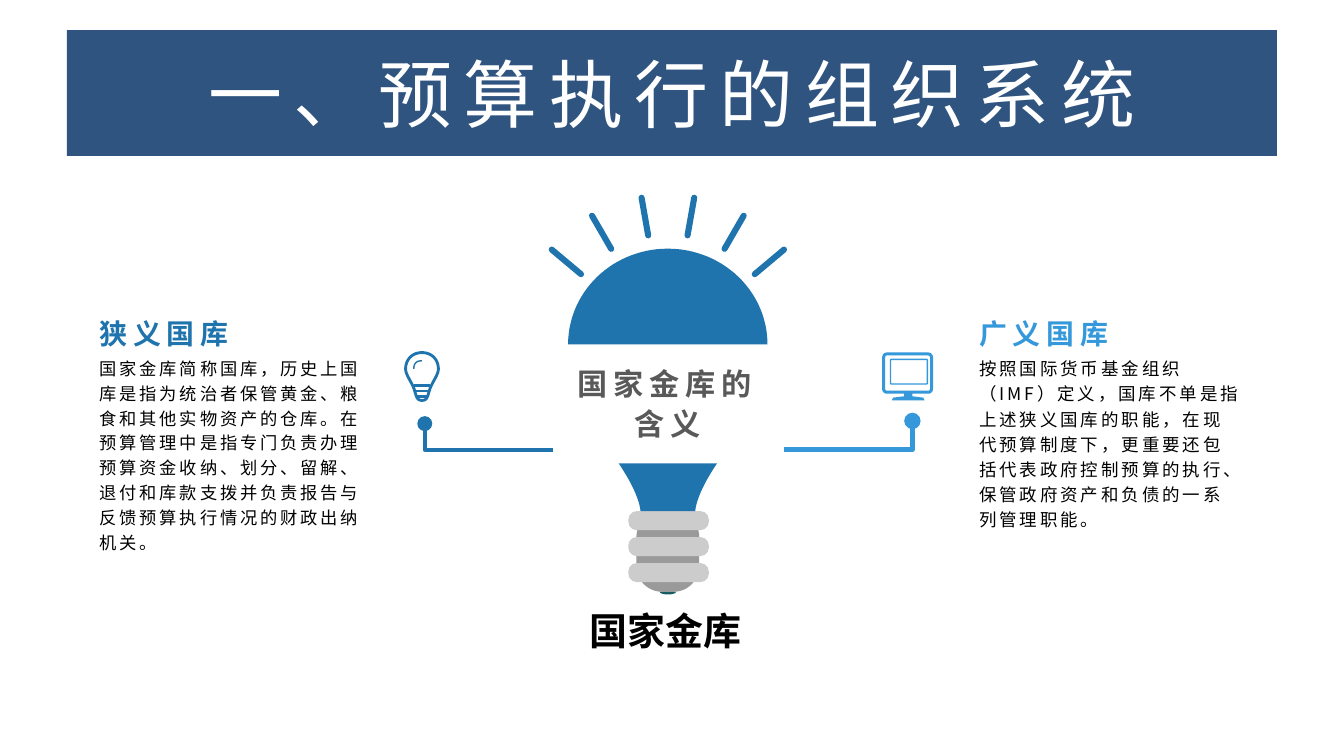
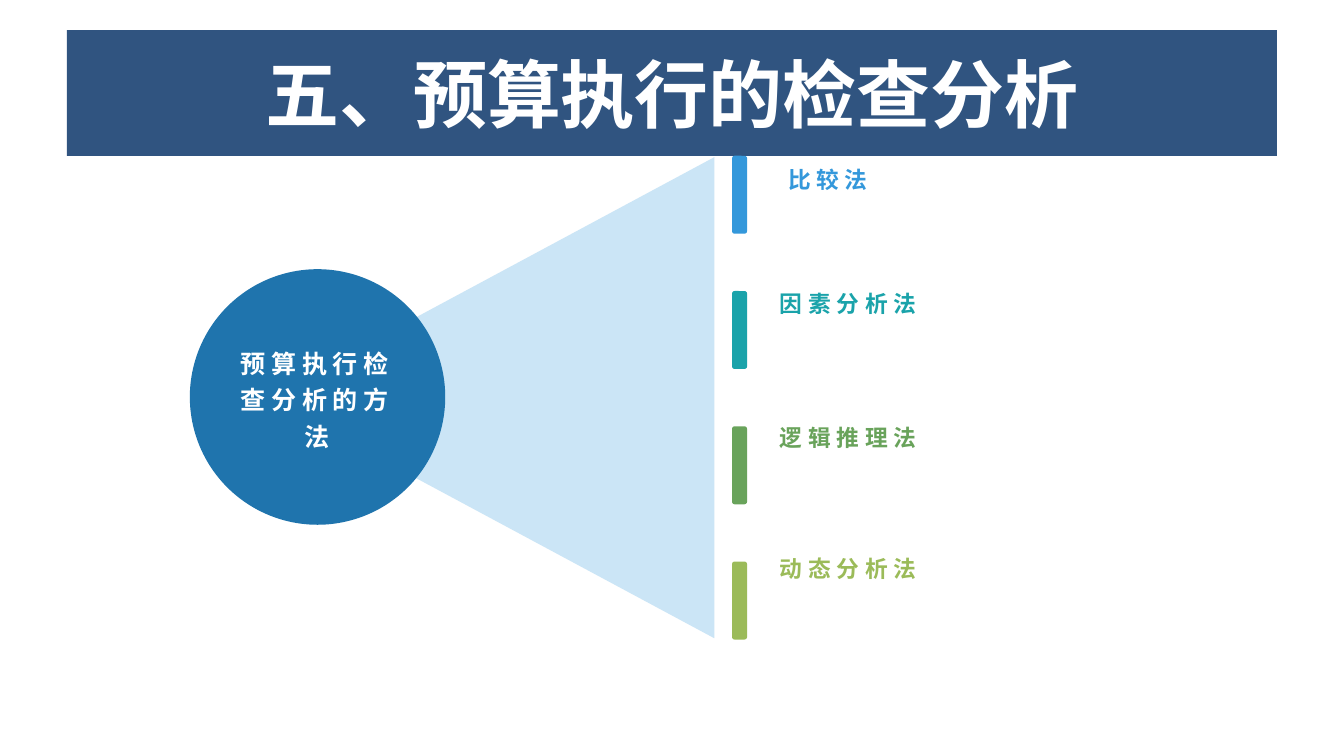
"""Build two slides on carrying out a state budget."""
from math import cos, pi, radians, sin

from lxml import etree
from pptx import Presentation
from pptx.dml.color import RGBColor
from pptx.enum.shapes import MSO_CONNECTOR, MSO_SHAPE
from pptx.enum.text import MSO_ANCHOR, MSO_AUTO_SIZE, PP_ALIGN
from pptx.oxml.ns import qn
from pptx.util import Inches, Pt

NAVY = RGBColor(0x30, 0x54, 0x80)
BLUE = RGBColor(0x1F, 0x74, 0xAD)
SKY = RGBColor(0x34, 0x98, 0xDB)
PALE = RGBColor(0xCB, 0xE5, 0xF6)
TEAL = RGBColor(0x1A, 0xA3, 0xAA)
GREEN = RGBColor(0x69, 0xA3, 0x5B)
LIME = RGBColor(0x9B, 0xBB, 0x59)
DEEP = RGBColor(0x1A, 0x5A, 0x62)
STEEL = RGBColor(0x9B, 0x9A, 0x9A)
SILVER = RGBColor(0xCD, 0xCC, 0xCC)
GREY = RGBColor(0x59, 0x59, 0x59)
BLACK = RGBColor(0, 0, 0)
WHITE = RGBColor(0xFF, 0xFF, 0xFF)

HAN = "Noto Sans CJK SC"
LATIN = "Calibri"
LEFT, CENTER = PP_ALIGN.LEFT, PP_ALIGN.CENTER
TOP, MIDDLE, BOTTOM = MSO_ANCHOR.TOP, MSO_ANCHOR.MIDDLE, MSO_ANCHOR.BOTTOM
FIXED = MSO_AUTO_SIZE.NONE
ROUND = MSO_SHAPE.ROUNDED_RECTANGLE
OVAL, WEDGE = MSO_SHAPE.OVAL, MSO_SHAPE.ISOSCELES_TRIANGLE
STRAIGHT = MSO_CONNECTOR.STRAIGHT
MID = 4.89


def put(item, values):
    """Set each attribute named in values."""
    for key, value in values.items():
        setattr(item, key, value)


def curve(*ends, steps=12):
    """Return points along a cubic curve."""
    marks = [i / steps for i in range(steps + 1)]
    return [tuple((1 - t) ** 3 * a + 3 * (1 - t) ** 2 * t * b
                  + 3 * (1 - t) * t ** 2 * c + t ** 3 * d
                  for a, b, c, d in zip(*ends)) for t in marks]


def arc(x, y, wide, high, steps=60):
    """Return points along half an ellipse; a negative height bulges down."""
    turns = [pi * i / steps for i in range(steps + 1)]
    return [(x - wide * cos(t), y - high * sin(t)) for t in turns]


def mirror(points, mid):
    """Return points followed by their reflection about x = mid."""
    return points + [(2 * mid - x, y) for x, y in reversed(points)]


class Deck:
    """Hold the shared style and the current slide."""

    def __init__(self):
        """Open an empty deck."""
        self.deck = Presentation()
        put(self.deck, {"slide_width": Inches(9.84),
                        "slide_height": Inches(5.51)})
        self.slide = None

    def page(self, title, **style):
        """Start a slide with its title band."""
        self.slide = self.deck.slides.add_slide(self.deck.slide_layouts[5])
        band = self.slide.shapes.title
        put(band, {"left": Inches(0.49), "top": Inches(0.22),
                   "width": Inches(8.86), "height": Inches(0.92)})
        self.paint(band, NAVY)
        self.label(band, title, 39, WHITE, align=CENTER, anchor=MIDDLE,
                   pad=(0.09, 0.04, 0.09, 0.04), **style)

    def paint(self, item, fill=None, line=None, width=1):
        """Set fill and outline, either of which may be absent."""
        if fill is None:
            item.fill.background()
        else:
            item.fill.solid()
            item.fill.fore_color.rgb = fill
        if line is None:
            item.line.fill.background()
        else:
            item.line.color.rgb = line
            item.line.width = Pt(width)

    def label(self, item, words, size, color, font=HAN, bold=False, gap=0,
              align=LEFT, anchor=TOP, lead=1.0, pad=(0.1, 0.05, 0.1, 0.05)):
        """Fill a shape with one paragraph."""
        frame = item.text_frame
        sides = ("margin_left", "margin_top", "margin_right", "margin_bottom")
        put(frame, {"word_wrap": True, "auto_size": FIXED,
                    "vertical_anchor": anchor,
                    **{side: Inches(n) for side, n in zip(sides, pad)}})
        para = frame.paragraphs[0]
        put(para, {"alignment": align, "line_spacing": lead})
        run = para.add_run()
        run.text = words
        put(run.font, {"name": font, "size": Pt(size), "bold": bold})
        run.font.color.rgb = color
        props = run._r.get_or_add_rPr()
        props.set("spc", str(int(gap * 100)))
        etree.SubElement(props, qn("a:ea")).set("typeface", HAN)

    def text(self, box, words, size, color, **style):
        """Add a text box."""
        item = self.slide.shapes.add_textbox(*map(Inches, box))
        self.label(item, words, size, color, **style)

    def shape(self, kind, box, fill=None, line=None, width=1, bend=None):
        """Add a preset shape."""
        item = self.slide.shapes.add_shape(kind, *map(Inches, box))
        item.shadow.inherit = False
        self.paint(item, fill, line, width)
        if bend is not None:
            item.adjustments[0] = bend
        return item

    def free(self, points, fill=None, line=None, width=1, close=True):
        """Add an outline through the points."""
        first, *rest = [(Inches(x), Inches(y)) for x, y in points]
        pen = self.slide.shapes.build_freeform(*first)
        pen.add_line_segments(rest, close=close)
        item = pen.convert_to_shape()
        item.shadow.inherit = False
        self.paint(item, fill, line, width)

    def line(self, start, end, color, width, cap="flat"):
        """Add a straight line."""
        item = self.slide.shapes.add_connector(
            STRAIGHT, *map(Inches, (*start, *end)))
        item.line.color.rgb = color
        item.line.width = Pt(width)
        item.line._get_or_add_ln().set("cap", cap)
        etree.SubElement(item._element.spPr, qn("a:effectLst"))

    def lead(self, x, y, end, color, width, size):
        """Add a dot with a bent line to the centre."""
        self.free([(x, y), (x, 3.29), (end, 3.29)], line=color,
                  width=width, close=False)
        self.shape(OVAL, (x - size / 2, y - size / 2, size, size), color)


def bulb(deck):
    """Draw the large bulb."""
    deck.free(arc(MID, 4.33, 0.06, -0.02), DEEP)
    deck.shape(ROUND, (4.66, 3.74, 0.46, 0.59), STEEL, bend=0.41)
    for row in range(3):
        deck.shape(ROUND, (4.6, 3.74 + row * 0.19, 0.59, 0.14),
                   SILVER, bend=0.45)
    deck.free(arc(MID, 2.52, 0.73, 0.7), BLUE)
    side = curve((4.53, 3.39), (4.61, 3.51), (4.68, 3.64), (4.69, 3.74))
    deck.free(mirror(side, MID), BLUE)
    for angle in map(radians, range(-50, 51, 20)):
        near, far = [(MID + r * sin(angle), 2.54 - r * cos(angle))
                     for r in (0.83, 1.11)]
        deck.line(near, far, BLUE, 3.2, "rnd")


def lamp(deck):
    """Draw the small bulb icon."""
    mid = 3.09
    side = (curve((mid, 2.58), (3.02, 2.58), (2.97, 2.63), (2.97, 2.7))
            + curve((2.97, 2.7), (2.97, 2.74), (3.01, 2.79), (3.03, 2.84))
            + curve((3.03, 2.84), (3.05, 2.9), (3.05, 2.93), (mid, 2.93)))
    deck.free(mirror(side, mid), line=BLUE, width=1.5)
    for y, half in ((2.82, 0.06), (2.86, 0.05), (2.9, 0.04)):
        deck.line((mid - half, y), (mid + half, y), BLUE, 1.3)
    deck.free(curve((3.03, 2.7), (3.03, 2.66), (3.05, 2.64), (mid, 2.64)),
              line=BLUE, width=0.75, close=False)


def screen(deck):
    """Draw the monitor icon."""
    deck.shape(ROUND, (6.47, 2.59, 0.35, 0.28), None, SKY, 1.6, 0.08)
    deck.shape(ROUND, (6.52, 2.63, 0.27, 0.18), None, SKY, 0.75, 0.04)
    foot = [(6.62, 2.87), (6.62, 2.9), (6.54, 2.91), (6.53, 2.93)]
    deck.free(mirror(foot, 6.65), SKY)


def vault(deck):
    """Build the slide on the treasury."""
    deck.page("一、预算执行的组织系统", gap=6)
    deck.text((0.67, 4.4, 8.41, 0.44), "国家金库", 20, BLACK,
              font=LATIN, bold=True, align=CENTER)
    bulb(deck)
    deck.text((4.09, 2.58, 1.6, 0.72), "国家金库的含义", 15.9, GREY,
              bold=True, gap=3, align=CENTER, anchor=MIDDLE, lead=1.1)
    deck.lead(3.11, 3.1, 4.05, BLUE, 2, 0.11)
    deck.lead(6.68, 3.08, 5.74, SKY, 2.6, 0.12)
    lamp(deck)
    screen(deck)
    for x, head, color, size, body in (
        (0.63, "狭义国库", BLUE, 9.1,
         "国家金库简称国库，历史上国库是指为统治者保管黄金、粮食和其他实物资产的仓库。"
         "在预算管理中是指专门负责办理预算资金收纳、划分、留解、退付和库款支拨"
         "并负责报告与反馈预算执行情况的财政出纳机关。"),
        (7.07, "广义国库", SKY, 9.2,
         "按照国际货币基金组织（IMF）定义，国库不单是指上述狭义国库的职能，"
         "在现代预算制度下，更重要还包括代表政府控制预算的执行、"
         "保管政府资产和负债的一系列管理职能。"),
    ):
        deck.text((x, 2.21, 2.13, 0.35), head, 14.7, color, bold=True,
                  gap=3, anchor=BOTTOM, lead=1.2, pad=(0.1, 0.05, 0.1, 0))
        deck.text((x, 2.59, 2.13, 0.72), body, size, BLACK, gap=1.5,
                  lead=1.2, pad=(0.1, 0, 0.1, 0.05))


def check(deck):
    """Build the slide on ways of checking."""
    deck.page("五、预算执行的检查分析", font=LATIN, bold=True)
    beam = deck.shape(WEDGE, (1.83, 1.27, 3.52, 3.28), PALE)
    beam.rotation = 270
    ways = (("比较法", SKY, 5.7, 1.12), ("因素分析法", TEAL, 5.64, 2.03),
            ("逻辑推理法", GREEN, 5.64, 3.01), ("动态分析法", LIME, 5.64, 3.97))
    for row, (name, color, x, y) in enumerate(ways):
        deck.shape(ROUND, (5.36, 1.14 + row * 0.99, 0.11, 0.57), color)
        deck.text((x, y, 1.64, 0.29), name, 12, color, bold=True, gap=3,
                  anchor=BOTTOM, lead=1.3, pad=(0.07, 0.04, 0.07, 0))
    hub = deck.shape(OVAL, (1.39, 1.97, 1.87, 1.87), BLUE)
    deck.label(hub, "预算执行检查分析的方法", 13.2, WHITE, bold=True, gap=3,
               align=CENTER, anchor=MIDDLE, lead=1.2,
               pad=(0.07, 0.04, 0.07, 0.04))


def main():
    """Build and save the deck."""
    deck = Deck()
    vault(deck)
    check(deck)
    deck.deck.save("out.pptx")


if __name__ == "__main__":
    main()
